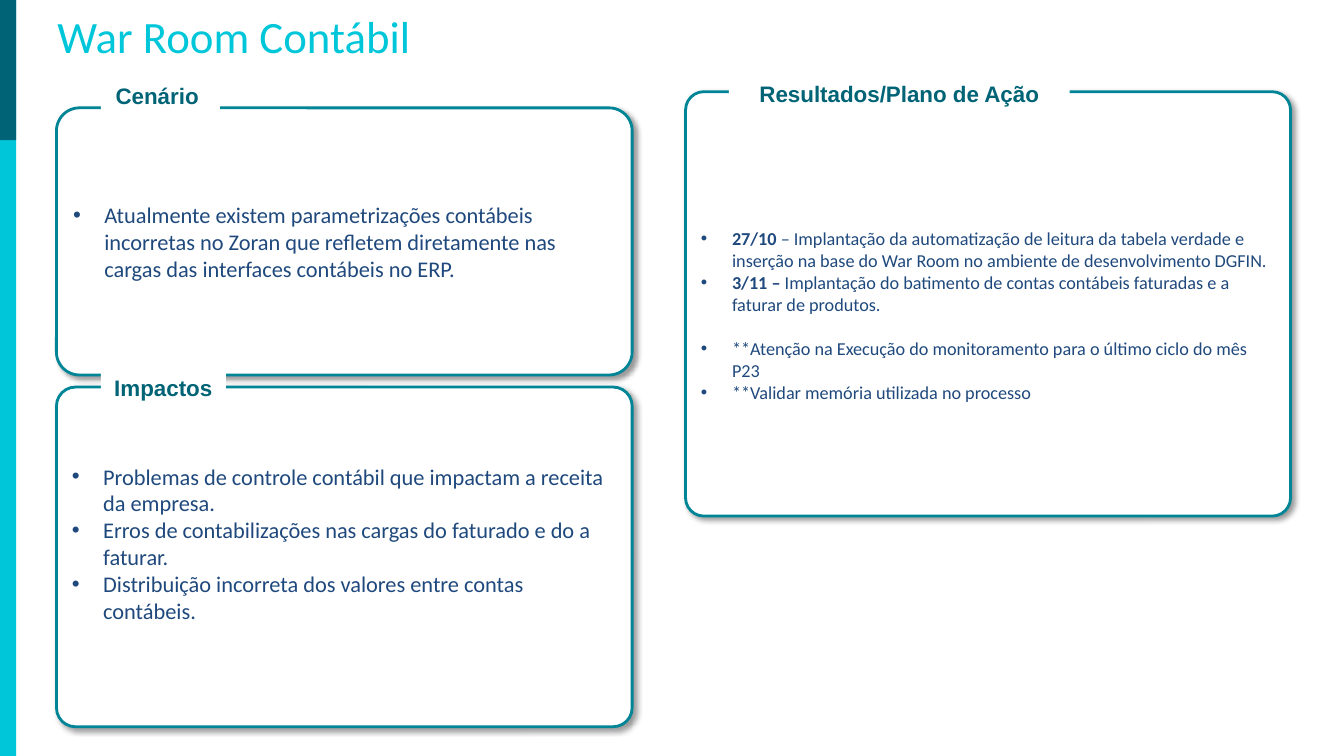
from dataclasses import dataclass

from lxml.etree import SubElement
from pptx import Presentation
from pptx.dml.color import RGBColor
from pptx.enum.shapes import MSO_SHAPE
from pptx.enum.text import MSO_ANCHOR, PP_ALIGN
from pptx.oxml.ns import qn
from pptx.shapes.autoshape import Shape
from pptx.slide import Slide
from pptx.text.text import _Paragraph as Paragraph
from pptx.util import Inches, Pt

CYAN = RGBColor(0x00, 0xC6, 0xDA)
DARK_TEAL = RGBColor(0x00, 0x64, 0x76)
TEAL = RGBColor(0x00, 0x85, 0x97)
NAVY = RGBColor(0x1F, 0x49, 0x7D)
WHITE = RGBColor(0xFF, 0xFF, 0xFF)
BULLET_INDENT = Inches(0.31)
PANEL_INSET = 0.05

Box = tuple[float, float, float, float]


@dataclass(frozen=True)
class Bullet:
    """One list entry, with an optional bold lead."""
    text: str
    lead: str = ""
    space_before: float = 0


@dataclass(frozen=True)
class Panel:
    """A rounded box with a heading that interrupts its top border."""
    heading: str
    heading_box: Box
    box: Box
    corner: float
    size: float
    bullets: tuple[Bullet, ...]
    inset_top: float = PANEL_INSET
    inset_bottom: float = PANEL_INSET


PANELS = (
    Panel("Cenário ", (1, 0.67, 1.18, 0.55), (0.56, 1.07, 5.71, 2.65), 0.086, 16, (
        Bullet("Atualmente existem parametrizações contábeis incorretas no Zoran que "
               "refletem diretamente nas cargas das interfaces contábeis no ERP."),
    )),
    Panel("Resultados/Plano de Ação", (7.23, 0.69, 3.38, 0.47), (6.8, 0.91, 6, 4.21), 0.043, 13, (
        Bullet("– Implantação da automatização de leitura da tabela verdade e inserção na "
               "base do War Room no ambiente de desenvolvimento DGFIN.", lead="27/10 "),
        Bullet("Implantação do batimento de contas contábeis faturadas e a faturar de "
               "produtos.", lead="3/11 – "),
        Bullet("**Atenção na Execução do monitoramento para o último ciclo do mês P23",
               space_before=15.9),
        Bullet("**Validar memória utilizada no processo"),
    ), inset_top=0.27),
    Panel("Impactos", (1, 3.67, 1.24, 0.34), (0.56, 3.84, 5.71, 3.37), 0.056, 16, (
        Bullet("Problemas de controle contábil que impactam a receita da empresa."),
        Bullet("Erros de contabilizações nas cargas do faturado e do a faturar."),
        Bullet("Distribuição incorreta dos valores entre contas contábeis."),
    ), inset_bottom=0.32),
)


def add_text(paragraph: Paragraph, text: str, *, size: float, color: RGBColor,
             font: str = "Calibri", bold: bool = False) -> None:
    """Append a formatted run to a paragraph."""
    run = paragraph.add_run()
    run.text = text
    run.font.name = font
    run.font.size = Pt(size)
    run.font.bold = bold
    run.font.color.rgb = color


def add_box(slide: Slide, kind: MSO_SHAPE, box: Box, fill: RGBColor) -> Shape:
    """Add a filled shape without border or shadow."""
    shape = slide.shapes.add_shape(kind, *map(Inches, box))
    shape.shadow.inherit = False
    shape.fill.solid()
    shape.fill.fore_color.rgb = fill
    shape.line.fill.background()
    shape.text_frame.word_wrap = True
    shape.text_frame.vertical_anchor = MSO_ANCHOR.MIDDLE
    return shape


def add_shadow(shape: Shape) -> None:
    """Give a shape a soft shadow towards the lower right."""
    effects = shape._element.spPr.find(qn("a:effectLst"))
    shadow = SubElement(effects, qn("a:outerShdw"), blurRad=str(Pt(4)), dist=str(Pt(3)),
                        dir=str(45 * 60000), algn="tl", rotWithShape="0")
    color = SubElement(shadow, qn("a:srgbClr"), val="000000")
    SubElement(color, qn("a:alpha"), val="40000")


def add_bullet(paragraph: Paragraph, bullet: Bullet, size: float) -> None:
    """Write one list entry with a hanging bullet."""
    paragraph.alignment = PP_ALIGN.LEFT
    paragraph.space_before = Pt(bullet.space_before)
    properties = paragraph._p.get_or_add_pPr()
    properties.set("marL", str(BULLET_INDENT))
    properties.set("indent", str(-BULLET_INDENT))
    SubElement(properties, qn("a:buFont"), typeface="Arial")
    SubElement(properties, qn("a:buChar"), char="•")
    if bullet.lead:
        add_text(paragraph, bullet.lead, size=size, color=NAVY, bold=True)
    add_text(paragraph, bullet.text, size=size, color=NAVY)


def add_panel(slide: Slide, panel: Panel) -> None:
    """Draw a panel with its list and heading."""
    body = add_box(slide, MSO_SHAPE.ROUNDED_RECTANGLE, panel.box, WHITE)
    body.adjustments[0] = panel.corner
    body.line.color.rgb = TEAL
    body.line.width = Pt(2)
    add_shadow(body)
    frame = body.text_frame
    frame.margin_top = Inches(panel.inset_top)
    frame.margin_bottom = Inches(panel.inset_bottom)
    for index, bullet in enumerate(panel.bullets):
        paragraph = frame.add_paragraph() if index else frame.paragraphs[0]
        add_bullet(paragraph, bullet, panel.size)

    heading = add_box(slide, MSO_SHAPE.RECTANGLE, panel.heading_box, WHITE)
    paragraph = heading.text_frame.paragraphs[0]
    paragraph.alignment = PP_ALIGN.CENTER
    add_text(paragraph, panel.heading, size=16, color=DARK_TEAL, font="Arial", bold=True)


def add_title(slide: Slide, text: str) -> None:
    """Add the slide title."""
    title = slide.shapes.add_textbox(*map(Inches, (0.47, 0, 12.86, 0.71)))
    title.text_frame.word_wrap = True
    title.text_frame.vertical_anchor = MSO_ANCHOR.MIDDLE
    add_text(title.text_frame.paragraphs[0], text, size=32, color=CYAN)


def main() -> None:
    """Build and save the slide."""
    presentation = Presentation()
    presentation.slide_width = Inches(13.33)
    presentation.slide_height = Inches(7.5)
    slide = presentation.slides.add_slide(presentation.slide_layouts[6])
    for height, color in ((7.5, CYAN), (1.39, DARK_TEAL)):
        add_box(slide, MSO_SHAPE.RECTANGLE, (0, 0, 0.16, height), color)
    add_title(slide, "War Room Contábil")
    for panel in PANELS:
        add_panel(slide, panel)
    presentation.save("out.pptx")


main()
